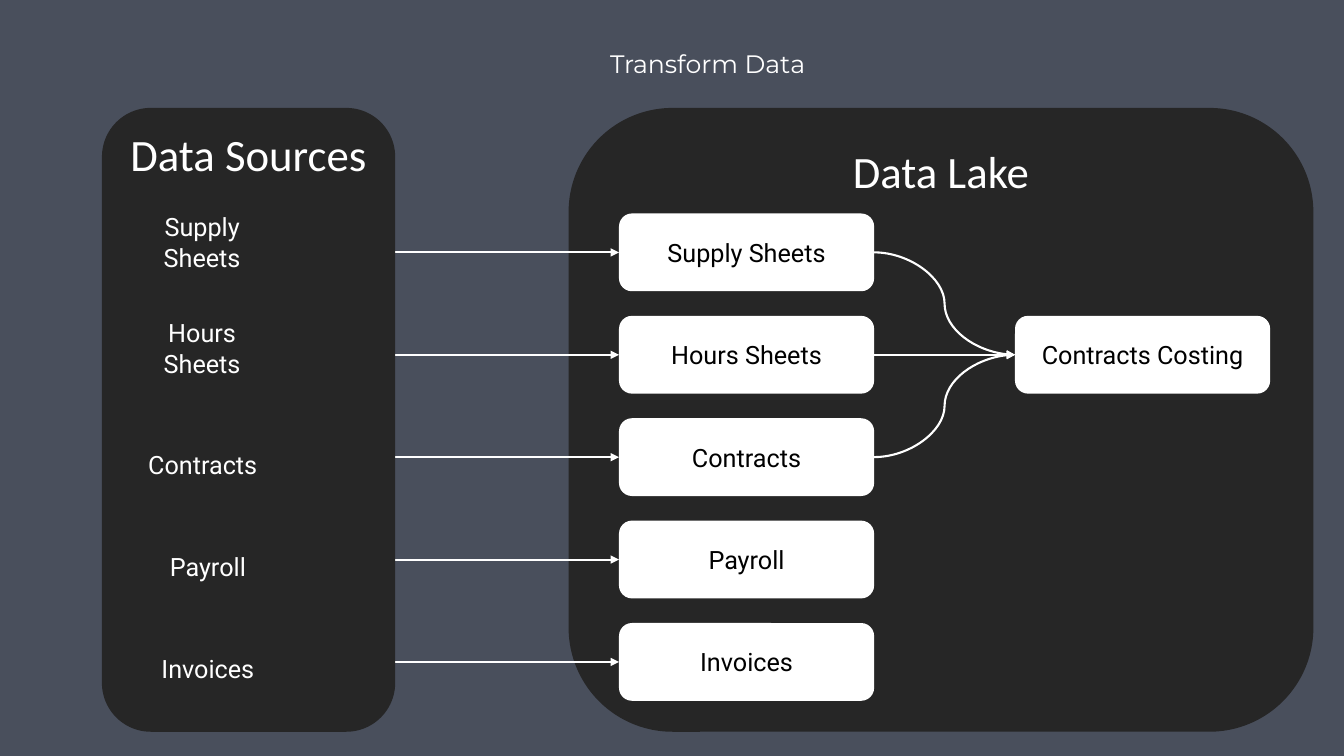
from lxml import etree
from pptx import Presentation
from pptx.dml.color import RGBColor
from pptx.enum.shapes import MSO_CONNECTOR, MSO_SHAPE
from pptx.enum.text import MSO_ANCHOR, MSO_AUTO_SIZE, PP_ALIGN
from pptx.oxml.ns import qn
from pptx.util import Cm, Pt

COLORS = {"background": "494F5C", "panel": "262626", "white": "FFFFFF", "black": "000000"}
TABLES = ["Supply Sheets", "Hours Sheets", "Contracts", "Payroll", "Invoices"]
COSTING_INPUTS = ["Hours Sheets", "Contracts", "Supply Sheets"]

# Boxes in centimetres: left, top, width, height
TITLE_BOX = (2.57, 1.09, 30.53, 1.02)
SOURCES_BOX = (2.57, 2.72, 7.39, 15.72)
LAKE_BOX = (14.33, 2.72, 18.77, 15.72)
CARD_WIDTH, CARD_HEIGHT, CARD_PITCH = 6.43, 1.96, 2.58

# Source labels, relative to their panel: left, top, width, height
LABEL_BOXES = [(1.24, 2.49, 2.57, 1.8), (1.24, 5.16, 2.57, 1.8)]
LABEL_BOXES += [(left, 8.48 + 2.565 * row, 3.76, 1.02)
                for row, left in enumerate([0.66, 0.79, 0.79])]

# Connection sites of a rounded rectangle
LEFT_SITE, RIGHT_SITE = 1, 3


def color(name):
    return RGBColor.from_string(COLORS[name])


def write(shape, text, font, size, ink, anchor=MSO_ANCHOR.TOP):
    frame = shape.text_frame
    frame.word_wrap = True
    frame.vertical_anchor = anchor
    paragraph = frame.paragraphs[0]
    paragraph.alignment = PP_ALIGN.CENTER
    run = paragraph.add_run()
    run.text = text
    run.font.name = font
    run.font.size = Pt(size)
    run.font.color.rgb = color(ink)


def add_rounded_box(slide, box, fill):
    shape = slide.shapes.add_shape(MSO_SHAPE.ROUNDED_RECTANGLE, *map(Cm, box))
    shape.shadow.inherit = False
    shape.fill.solid()
    shape.fill.fore_color.rgb = color(fill)
    shape.line.fill.background()
    return shape


def add_panel(slide, box, heading):
    panel = add_rounded_box(slide, box, "panel")
    write(panel, heading, "Calibri", 32, "white")


def add_card(slide, left, top, text):
    card = add_rounded_box(slide, (left, top, CARD_WIDTH, CARD_HEIGHT), "white")
    write(card, text, "Roboto", 18, "black", MSO_ANCHOR.MIDDLE)
    return card


def add_arrow(slide, kind, target, start_x=0, start_y=0, source=None):
    arrow = slide.shapes.add_connector(kind, start_x, start_y, target.left, start_y)
    if source is not None:
        arrow.begin_connect(source, RIGHT_SITE)
    arrow.end_connect(target, LEFT_SITE)
    arrow.line.color.rgb = color("white")
    arrow.line.width = Pt(1.5)
    etree.SubElement(arrow.line._get_or_add_ln(), qn("a:tailEnd"), type="triangle")
    etree.SubElement(arrow._element.spPr, qn("a:effectLst"))


def add_title(slide, box):
    title = slide.shapes.title
    title.left, title.top, title.width, title.height = map(Cm, box)
    write(title, "Transform Data", "Montserrat", 18, "white")
    title.text_frame.auto_size = MSO_AUTO_SIZE.NONE


def add_data_lake(slide, box):
    left, top = box[:2]
    add_panel(slide, box, "Data Lake")
    card_top = top + 2.66
    cards = {name: add_card(slide, left + 1.27, card_top + row * CARD_PITCH, name)
             for row, name in enumerate(TABLES)}
    costing = add_card(slide, left + 11.25, card_top + CARD_PITCH, "Contracts Costing")
    for name in COSTING_INPUTS:
        add_arrow(slide, MSO_CONNECTOR.CURVE, costing, source=cards[name])
    return list(cards.values())


def add_feed_arrows(slide, cards, start):
    for card in cards:
        middle = card.top + card.height // 2
        add_arrow(slide, MSO_CONNECTOR.STRAIGHT, card, Cm(start), middle)


def add_data_sources(slide, box):
    left, top = box[:2]
    add_panel(slide, box, "Data Sources")
    for name, (x, y, width, height) in zip(TABLES, LABEL_BOXES):
        label = slide.shapes.add_textbox(Cm(left + x), Cm(top + y), Cm(width), Cm(height))
        write(label, name, "Roboto", 18, "white")
        label.text_frame.auto_size = MSO_AUTO_SIZE.SHAPE_TO_FIT_TEXT


def main():
    presentation = Presentation()
    presentation.slide_width, presentation.slide_height = Cm(33.87), Cm(19.05)
    slide = presentation.slides.add_slide(presentation.slide_layouts[5])
    slide.background.fill.solid()
    slide.background.fill.fore_color.rgb = color("background")

    add_title(slide, TITLE_BOX)
    cards = add_data_lake(slide, LAKE_BOX)
    # Arrows begin just under the sources panel, which is drawn over them
    add_feed_arrows(slide, cards, SOURCES_BOX[0] + SOURCES_BOX[2] - 0.38)
    add_data_sources(slide, SOURCES_BOX)
    presentation.save("out.pptx")


if __name__ == "__main__":
    main()
